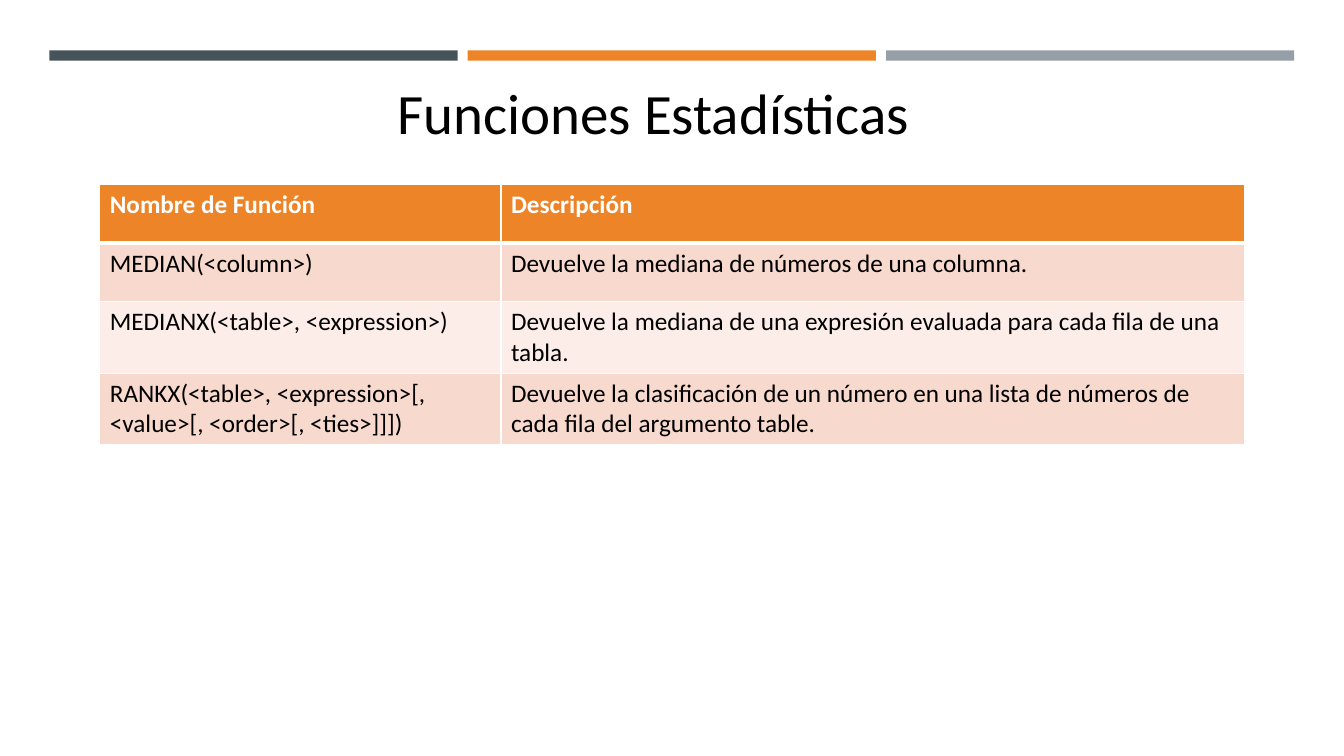
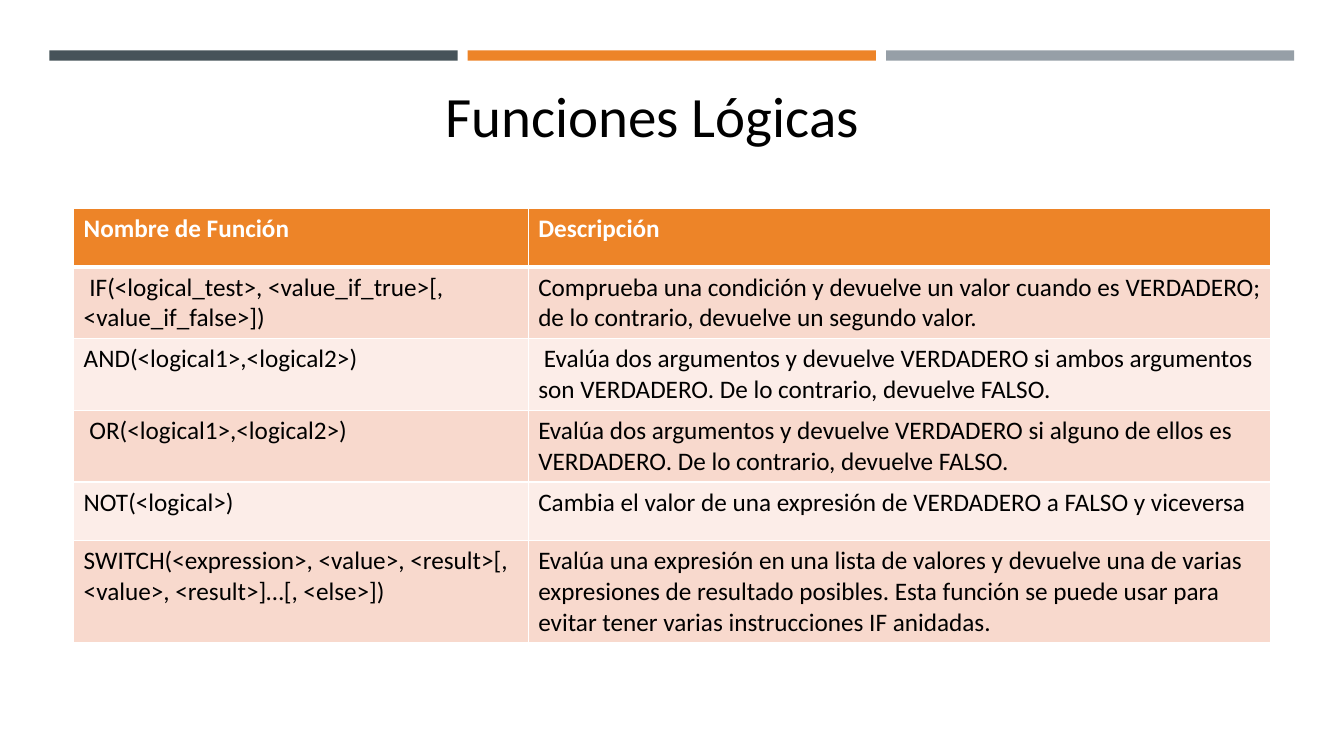
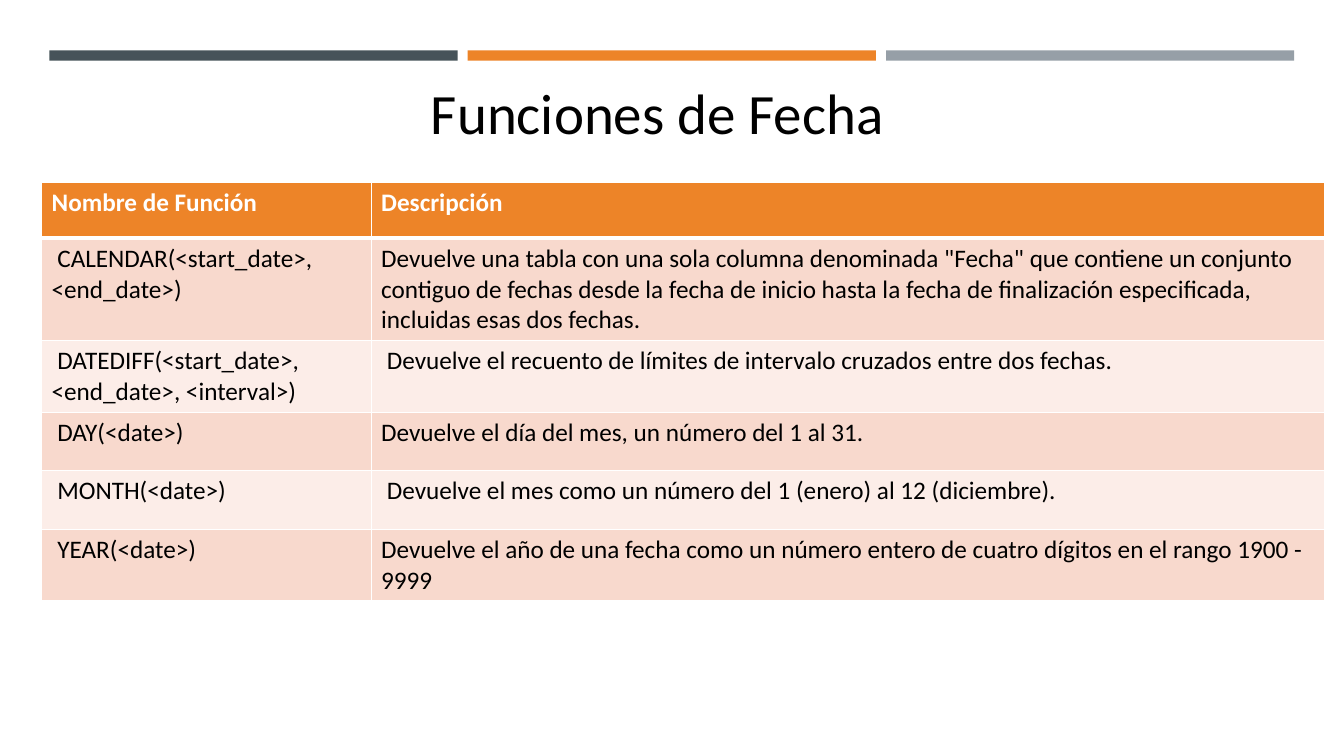
"""Build three slides that list functions with their descriptions."""
from lxml import etree
from pptx import Presentation
from pptx.dml import color
from pptx.enum import shapes, text
from pptx.oxml import ns
from pptx.util import Pt

COLORS = {
    "slate": "465359",
    "orange": "ED8428",
    "gray": "969FA7",
    "odd": "F8D9CD",
    "even": "FCEDE8",
    "white": "FFFFFF",
    "black": "000000",
}
HEADER = ("Nombre de Función", "Descripción")
SLIDES = [
    dict(
        title="Funciones Estadísticas", title_at=(87, 60),
        table_at=(71.3, 131.8), widths=(286.6, 531.4), header_height=41.8,
        rows=[
            ("MEDIAN(<column>)",
             "Devuelve la mediana de números de una columna."),
            ("MEDIANX(<table>, <expression>)",
             "Devuelve la mediana de una expresión evaluada para cada fila de una tabla."),
            ("RANKX(<table>, <expression>[, <value>[, <order>[, <ties>]]])",
             "Devuelve la clasificación de un número en una lista de números de "
             "cada fila del argumento table."),
        ],
    ),
    dict(
        title="Funciones Lógicas", title_at=(86.4, 62.6),
        table_at=(52.6, 149), widths=(324.7, 530.6), header_height=41.8,
        rows=[
            (" IF(<logical_test>, <value_if_true>[,\n<value_if_false>])",
             "Comprueba una condición y devuelve un valor cuando es VERDADERO; "
             "de lo contrario, devuelve un segundo valor."),
            ("AND(<logical1>,<logical2>)",
             " Evalúa dos argumentos y devuelve VERDADERO si ambos argumentos son "
             "VERDADERO. De lo contrario, devuelve FALSO."),
            (" OR(<logical1>,<logical2>)",
             "Evalúa dos argumentos y devuelve VERDADERO si alguno de ellos es "
             "VERDADERO. De lo contrario, devuelve FALSO."),
            ("NOT(<logical>)",
             "Cambia el valor de una expresión de VERDADERO a FALSO y viceversa"),
            ("SWITCH(<expression>, <value>, <result>[, <value>, <result>]…[, <else>])",
             "Evalúa una expresión en una lista de valores y devuelve una de varias "
             "expresiones de resultado posibles. Esta función se puede usar para "
             "evitar tener varias instrucciones IF anidadas."),
        ],
    ),
    dict(
        title="Funciones de Fecha", title_at=(90, 60),
        table_at=(29.7, 130.6), widths=(235.4, 681.1), header_height=39.6,
        rows=[
            (" CALENDAR(<start_date>,\n<end_date>)",
             'Devuelve una tabla con una sola columna denominada "Fecha" que '
             "contiene un conjunto contiguo de fechas desde la fecha de inicio "
             "hasta la fecha de finalización especificada, incluidas esas dos fechas."),
            (" DATEDIFF(<start_date>,\n<end_date>, <interval>)",
             " Devuelve el recuento de límites de intervalo cruzados entre dos fechas."),
            (" DAY(<date>)",
             "Devuelve el día del mes, un número del 1 al 31."),
            (" MONTH(<date>)",
             " Devuelve el mes como un número del 1 (enero) al 12 (diciembre)."),
            (" YEAR(<date>)",
             "Devuelve el año de una fecha como un número entero de cuatro dígitos "
             "en el rango 1900 - 9999"),
        ],
    ),
]


class Deck:
    """Hold the shared style and the current slide."""

    font = "Calibri"
    title_size = 40.7
    cell_size = 18
    row_height = 41.8

    def __init__(self):
        """Open a widescreen presentation."""
        self.prs = Presentation()
        self.prs.slide_width, self.prs.slide_height = Pt(960), Pt(540)
        self.layout = self.prs.slide_layouts[5]
        self.s = None

    def rgb(self, name):
        """Return the named colour."""
        return color.RGBColor.from_string(COLORS[name])

    def slide(self):
        """Start a slide."""
        self.s = self.prs.slides.add_slide(self.layout)

    def bands(self):
        """Draw the three top bands and move them to the shared layout."""
        for i, name in enumerate(("slate", "orange", "gray")):
            sp = self.s.shapes.add_shape(
                shapes.MSO_SHAPE.RECTANGLE, Pt(35.3 + i * 298.8), Pt(36), Pt(291.6), Pt(7.4))
            sp.shadow.inherit = False
            sp.fill.solid()
            sp.fill.fore_color.rgb = self.rgb(name)
            sp.line.fill.background()
            self.layout.shapes.element.append(sp.element)

    def style(self, tf, size, name, bold=False):
        """Format every run of a text frame."""
        for p in tf.paragraphs:
            for r in p.runs:
                r.font.name, r.font.size, r.font.bold = self.font, Pt(size), bold
                r.font.color.rgb = self.rgb(name)

    def title(self, words, left, top):
        """Fill and place the title."""
        sp = self.s.shapes.title
        sp.left, sp.top, sp.width, sp.height = Pt(left), Pt(top), Pt(759), Pt(48.2)
        tf = sp.text_frame
        tf.text = words
        tf.word_wrap = True
        tf.auto_size = text.MSO_AUTO_SIZE.NONE
        tf.vertical_anchor = text.MSO_ANCHOR.MIDDLE
        p = tf.paragraphs[0]
        p.alignment = text.PP_ALIGN.CENTER
        p.line_spacing = 0.8
        self.style(tf, self.title_size, "black")

    def borders(self, cell, top, bottom):
        """Give a cell white borders."""
        tc_pr = cell._tc.get_or_add_tcPr()
        for i, (side, width) in enumerate(zip("LRTB", (1, 1, top, bottom))):
            ln = etree.Element(ns.qn(f"a:ln{side}"), w=str(Pt(width)))
            fill = etree.SubElement(ln, ns.qn("a:solidFill"))
            etree.SubElement(fill, ns.qn("a:srgbClr"), val=COLORS["white"])
            tc_pr.insert(i, ln)

    def table(self, rows, left, top, widths, header_height):
        """Add a banded table under an orange header."""
        rows = [HEADER, *rows]
        heights = [header_height] + [self.row_height] * (len(rows) - 1)
        table = self.s.shapes.add_table(
            len(rows), len(widths), Pt(left), Pt(top), Pt(sum(widths)), Pt(sum(heights))).table
        for column, width in zip(table.columns, widths):
            column.width = Pt(width)
        for i, (row, height) in enumerate(zip(rows, heights)):
            table.rows[i].height = Pt(height)
            header = i == 0
            fill = "orange" if header else "odd" if i % 2 else "even"
            for j, words in enumerate(row):
                cell = table.cell(i, j)
                cell.text_frame.text = words
                self.style(cell.text_frame, self.cell_size, "white" if header else "black", header)
                cell.fill.solid()
                cell.fill.fore_color.rgb = self.rgb(fill)
                self.borders(cell, 3 if i == 1 else 1, 3 if header else 1)


def main():
    """Build and save the slides."""
    deck = Deck()
    for i, item in enumerate(SLIDES):
        deck.slide()
        if i == 0:
            deck.bands()
        deck.title(item["title"], *item["title_at"])
        deck.table(item["rows"], *item["table_at"], item["widths"], item["header_height"])
    deck.prs.save("out.pptx")


if __name__ == "__main__":
    main()
